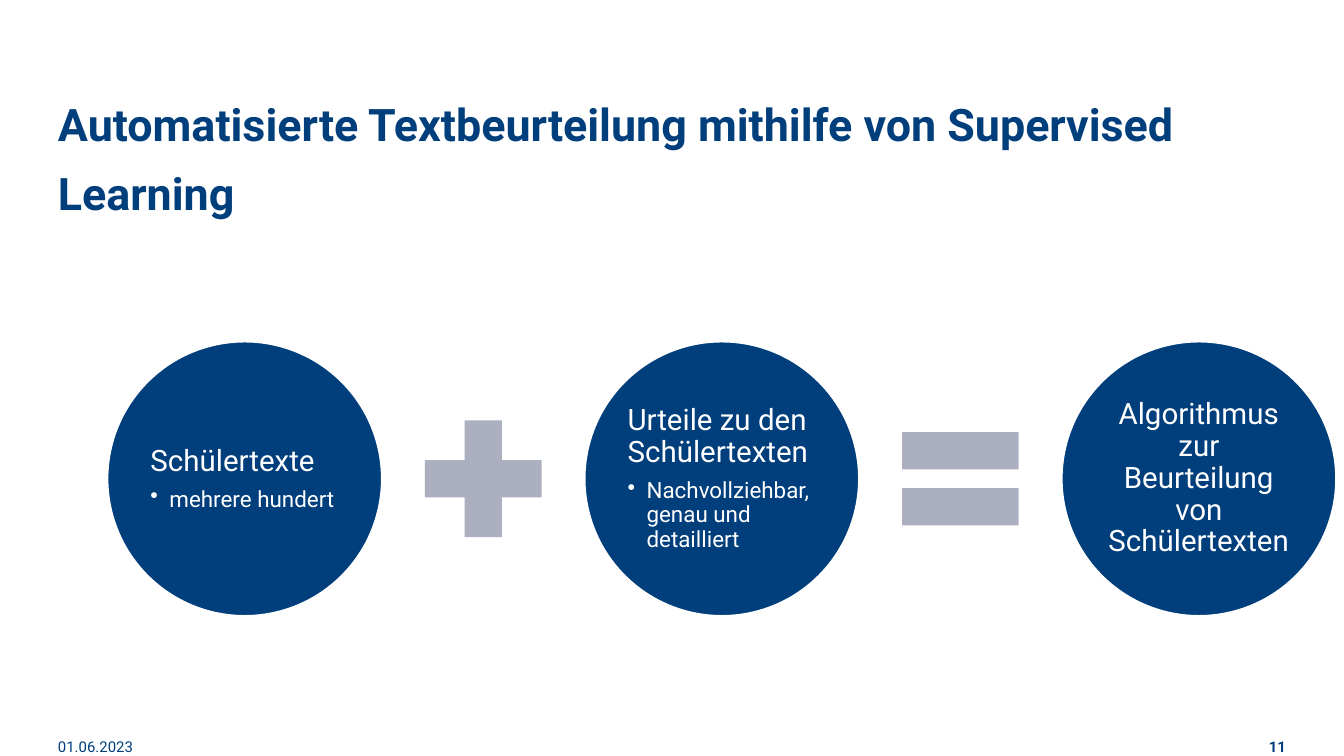
from lxml import etree
from pptx import Presentation
from pptx.dml.color import RGBColor
from pptx.enum.shapes import MSO_SHAPE
from pptx.enum.text import MSO_ANCHOR, MSO_AUTO_SIZE, PP_ALIGN
from pptx.oxml.ns import qn
from pptx.util import Pt

BLUE, GREY, WHITE = "003E7C", "ABAFBF", "FFFFFF"
CIRCLE, SIGN, GAP = 147, 85, 11.8


def color(hex_code):
    return RGBColor.from_string(hex_code)


def write(para, text, size, ink=BLUE, bold=False, align=PP_ALIGN.LEFT,
          spacing=None, after=0):
    para.alignment = align
    para.space_before, para.space_after = Pt(0), Pt(after)
    if spacing:
        para.line_spacing = spacing
    span = para.add_run()
    span.text = text
    span.font.name, span.font.size, span.font.bold = "Roboto", Pt(size), bold
    span.font.color.rgb = color(ink)


def set_frame(frame, anchor, inset=0):
    frame.word_wrap = True
    frame.auto_size = MSO_AUTO_SIZE.NONE
    frame.vertical_anchor = anchor
    frame.margin_left = frame.margin_right = Pt(inset)
    frame.margin_top = frame.margin_bottom = Pt(inset)


def add_bullet(para, indent):
    props = para._p.get_or_add_pPr()
    props.set("marL", str(Pt(indent)))
    props.set("indent", str(-Pt(indent)))
    etree.SubElement(props, qn("a:buChar")).set("char", "•")


def add_title(page, box, text):
    title = page.shapes.title
    title.left, title.top, title.width, title.height = map(Pt, box)
    set_frame(title.text_frame, MSO_ANCHOR.BOTTOM)
    write(title.text_frame.paragraphs[0], text, 24, bold=True, spacing=Pt(36.7))


def add_footer(page, box, text, anchor=MSO_ANCHOR.TOP, **style):
    label = page.shapes.add_textbox(*map(Pt, box))
    set_frame(label.text_frame, anchor)
    write(label.text_frame.paragraphs[0], text, 8, **style)


def add_figure(page, kind, box, fill):
    figure = page.shapes.add_shape(kind, *map(Pt, box))
    figure.shadow.inherit = False
    figure.fill.solid()
    figure.fill.fore_color.rgb = color(fill)
    figure.line.fill.background()
    return figure


def add_circle(page, box, heading, detail=None):
    circle = add_figure(page, MSO_SHAPE.OVAL, box, BLUE)
    circle.line.color.rgb = color(WHITE)
    circle.line.width = Pt(1)
    frame = circle.text_frame
    set_frame(frame, MSO_ANCHOR.MIDDLE, 1.5)
    align = PP_ALIGN.LEFT if detail else PP_ALIGN.CENTER
    write(frame.paragraphs[0], heading, 15.8, WHITE, align=align,
          spacing=0.9, after=5.5)
    if detail:
        para = frame.add_paragraph()
        para.level = 1
        write(para, detail, 12, WHITE, spacing=0.9, after=1.8)
        add_bullet(para, 10.2)


def add_equation(page, left, top, terms, signs):
    # Circles at an even pitch, with a sign centred in each gap
    pitch = CIRCLE + SIGN + 2 * GAP
    for index, term in enumerate(terms):
        add_circle(page, (left + index * pitch, top, CIRCLE, CIRCLE), *term)
    for index, kind in enumerate(signs):
        sign_left = left + index * pitch + CIRCLE + GAP
        sign_top = top + (CIRCLE - SIGN) / 2
        add_figure(page, kind, (sign_left, sign_top, SIGN, SIGN), GREY)


def main():
    deck = Presentation()
    deck.slide_width, deck.slide_height = Pt(720), Pt(405)
    page = deck.slides.add_slide(deck.slide_layouts[5])

    # Title
    add_title(page, (31, 72, 658, 45.4),
              "Automatisierte Textbeurteilung mithilfe von Supervised Learning")

    # Texts + judgements = algorithm
    add_equation(
        page, 57.6, 183,
        [("Schülertexte", "mehrere hundert"),
         ("Urteile zu den Schülertexten", "Nachvollziehbar, genau und detailliert"),
         ("Algorithmus zur Beurteilung von Schülertexten",)],
        [MSO_SHAPE.MATH_PLUS, MSO_SHAPE.MATH_EQUAL])

    # Date and page number
    add_footer(page, (31, 395.3, 51, 9.7), "01.06.2023")
    add_footer(page, (649.4, 395.3, 39.6, 9.7), "11", MSO_ANCHOR.BOTTOM,
               bold=True, align=PP_ALIGN.RIGHT)

    deck.save("out.pptx")


if __name__ == "__main__":
    main()
